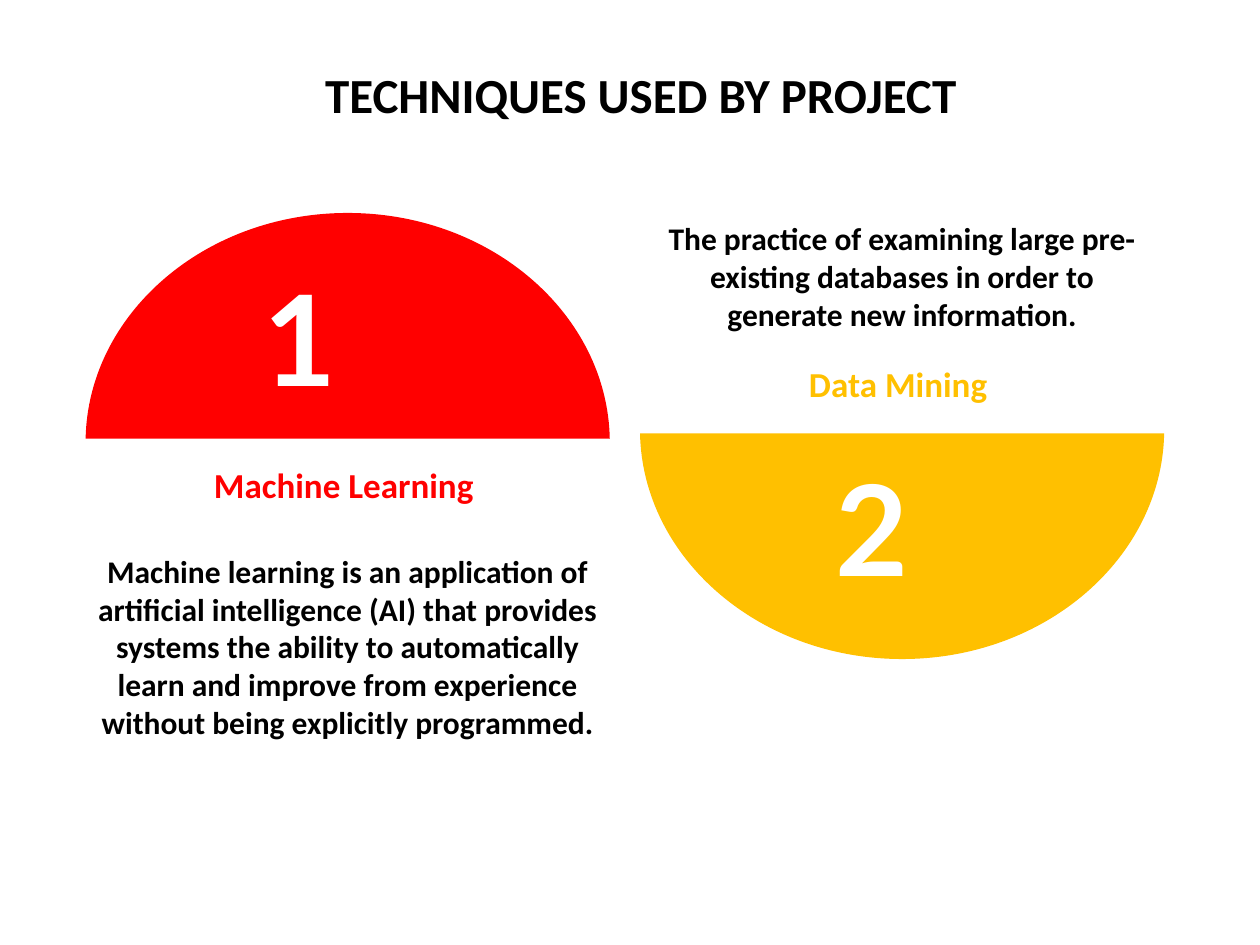
"""Build a slide presenting the two techniques used by the project."""
from lxml import etree
from pptx import Presentation
from pptx.dml.color import RGBColor
from pptx.enum import text
from pptx.oxml.ns import qn
from pptx.util import Inches, Pt

RED = RGBColor(0xFF, 0x00, 0x00)
AMBER = RGBColor(0xFF, 0xC0, 0x00)
BLACK = RGBColor(0x00, 0x00, 0x00)
WHITE = RGBColor(0xFF, 0xFF, 0xFF)
WIDTH, HEIGHT = 4.16, 1.79


class Deck:
    def __init__(self, prs):
        self.body_font = "Calibri"
        self.number_font = "Lato"
        self.s = prs.slides.add_slide(prs.slide_layouts[6])

    def bend(self, segment, controls):
        segment.tag = qn("a:cubicBezTo")
        for i, (x, y) in enumerate(controls):
            pt = etree.Element(qn("a:pt"), x=str(Inches(x)), y=str(Inches(y)))
            segment.insert(i, pt)

    def half_ellipse(self, left, top, color, domed):
        apex, base = (0, HEIGHT) if domed else (HEIGHT, 0)
        side = 0.45 * HEIGHT if domed else 0.55 * HEIGHT
        middle, reach, edge = WIDTH / 2, 1.14, 0.02
        builder = self.s.shapes.build_freeform(
            Inches(left + middle), Inches(top + apex))
        corners = [(WIDTH, base), (0, base), (middle, apex)]
        builder.add_line_segments(
            [(Inches(left + x), Inches(top + y)) for x, y in corners])
        sp = builder.convert_to_shape()
        falling, _, rising = list(sp._element.iter(qn("a:lnTo")))
        self.bend(falling, [(middle + reach, apex), (WIDTH - edge, side)])
        self.bend(rising, [(edge, side), (middle - reach, apex)])
        sp.shadow.inherit = False
        sp.fill.solid()
        sp.fill.fore_color.rgb = color
        sp.line.fill.background()

    def label(self, words, left, top, width, height, size, color, font=None):
        sp = self.s.shapes.add_textbox(
            Inches(left), Inches(top), Inches(width), Inches(height))
        tf = sp.text_frame
        tf.word_wrap = True
        tf.text = words
        p = tf.paragraphs[0]
        p.alignment = text.PP_ALIGN.CENTER
        r = p.runs[0]
        r.font.name = font or self.body_font
        r.font.size = Pt(size)
        r.font.bold = True
        r.font.color.rgb = color
        return tf

    def number(self, digit, left, top):
        tf = self.label(digit, left, top, 1.42, 1.31, 72, WHITE, self.number_font)
        tf.margin_right = Inches(0.6)


def main():
    prs = Presentation()
    prs.slide_width, prs.slide_height = Inches(10), Inches(7.5)
    deck = Deck(prs)
    left, right = 0.68, 5.08

    deck.half_ellipse(right, 3.44, AMBER, domed=False)
    deck.number("2", 6.46, 3.53)
    deck.half_ellipse(left, 1.69, RED, domed=True)
    deck.number("1", 1.92, 2.02)

    deck.label("Machine Learning ", left, 3.63, WIDTH, 0.44, 20, RED)
    deck.label("Machine learning is an application of artificial intelligence "
               "(AI) that provides systems the ability to automatically learn "
               "and improve from experience without being explicitly "
               "programmed. ",
               left, 4.33, WIDTH, 1.92, 18, BLACK)
    deck.label("TECHNIQUES USED BY PROJECT", 1.25, 0.46, 7.67, 0.57, 28, BLACK)
    deck.label("Data Mining ", right, 2.83, WIDTH, 0.44, 20, AMBER)
    deck.label("The practice of examining large pre-existing databases in order "
               "to generate new information.",
               right, 1.69, WIDTH, 1.31, 18, BLACK)

    prs.save("out.pptx")


if __name__ == "__main__":
    main()
